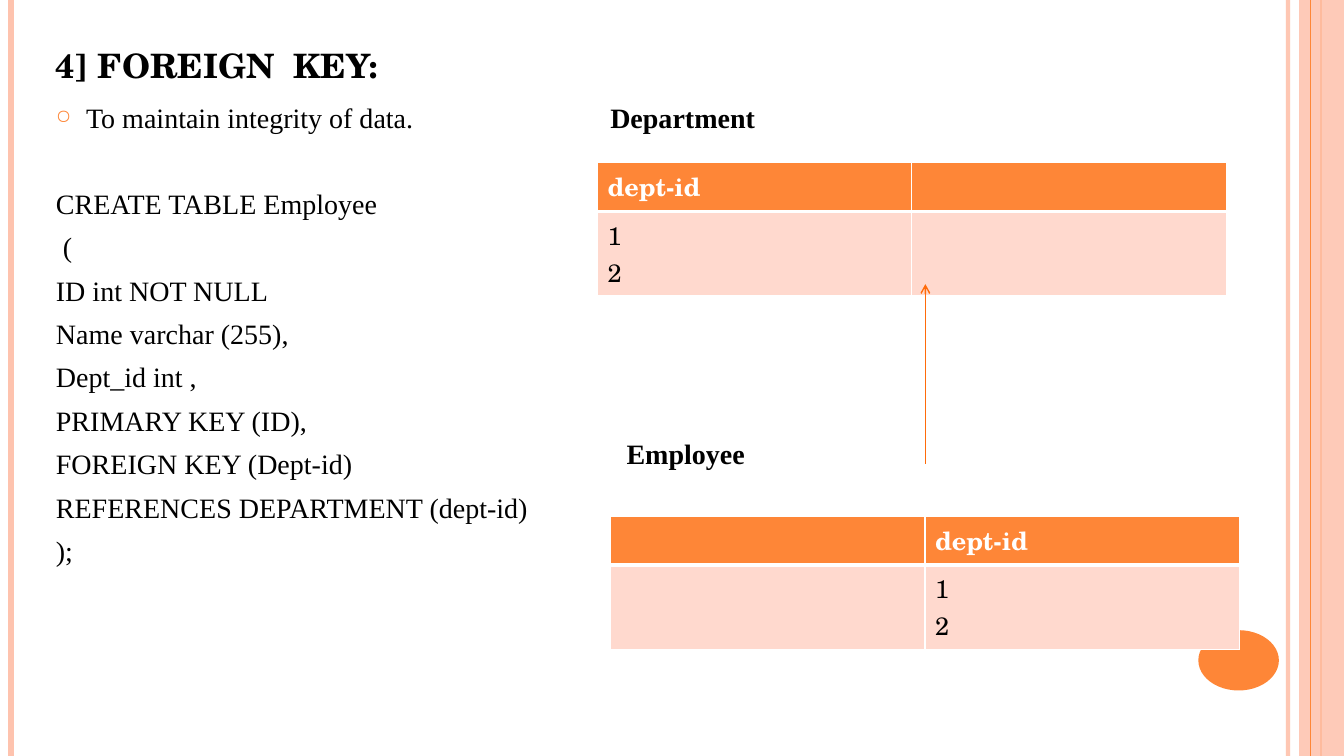
from lxml import etree
from pptx import Presentation
from pptx import util as u
from pptx.dml.color import RGBColor
from pptx.enum import shapes, text
from pptx.oxml.ns import qn

ORANGE, PEACH, PINK = "FE8637", "FEC3AE", "FFD9CE"
BLACK, WHITE = "000000", "FFFFFF"
HEADING_FONT, BODY_FONT = "TeX Gyre Schola", "Times New Roman"
SLIDE_W, SLIDE_H = 33.87, 19.05

SQL_LINES = [
    "CREATE TABLE Employee",
    " (",
    "ID int NOT NULL",
    "Name varchar (255),",
    "Dept_id int ,",
    "PRIMARY KEY (ID),",
    "FOREIGN KEY (Dept-id)",
    "REFERENCES DEPARTMENT (dept-id)",
    ");",
]


def rgb(value):
    return RGBColor.from_string(value)


def element(parent, tag, **attributes):
    return etree.SubElement(parent, qn(tag), attributes)


def set_alpha(fill, percent):
    color = next(fill.iter(qn("a:srgbClr")))
    element(color, "a:alpha", val=str(percent * 1000))


def add_line(slide, start, end, color, width, alpha=None, arrow=False):
    line = slide.shapes.add_connector(
        shapes.MSO_CONNECTOR.STRAIGHT, *(u.Cm(v) for v in start + end))
    line.line.color.rgb = rgb(color)
    line.line.width = u.Pt(width)
    properties = line._element.spPr
    outline = properties.find(qn("a:ln"))
    if alpha:
        set_alpha(outline, alpha)
    if arrow:
        element(outline, "a:tailEnd", type="arrow")
    element(properties, "a:effectLst")


def add_block(slide, kind, left, top, width, height, color, alpha=None):
    block = slide.shapes.add_shape(
        kind, u.Cm(left), u.Cm(top), u.Cm(width), u.Cm(height))
    block.shadow.inherit = False
    block.fill.solid()
    block.fill.fore_color.rgb = rgb(color)
    block.line.fill.background()
    if alpha:
        set_alpha(block._element.spPr.find(qn("a:solidFill")), alpha)


def add_run(paragraph, words, font, size, color=BLACK, bold=False):
    run = paragraph.add_run()
    run.text = words
    run.font.name = font
    run.font.size = u.Pt(size)
    run.font.color.rgb = rgb(color)
    run.font.bold = bold


def prepare_frame(frame):
    frame.word_wrap = True
    frame.auto_size = text.MSO_AUTO_SIZE.NONE
    frame.vertical_anchor = text.MSO_ANCHOR.TOP
    frame.margin_left = frame.margin_right = 0
    frame.margin_top = frame.margin_bottom = 0


def add_text(slide, left, top, width, height):
    box = slide.shapes.add_textbox(
        u.Cm(left), u.Cm(top), u.Cm(width), u.Cm(height))
    prepare_frame(box.text_frame)
    return box.text_frame


def add_label(slide, words, left, top):
    frame = add_text(slide, left, top, 6, 0.9)
    add_run(frame.paragraphs[0], words, BODY_FONT, 20, bold=True)


def set_title(slide, words):
    title = slide.shapes.title
    title.left, title.top = u.Cm(1.41), u.Cm(1.13)
    title.width, title.height = u.Cm(29), u.Cm(1.3)
    prepare_frame(title.text_frame)
    paragraph = title.text_frame.paragraphs[0]
    paragraph.alignment = text.PP_ALIGN.LEFT
    add_run(paragraph, words, HEADING_FONT, 24)
    paragraph.runs[0].font.bold = True


def set_bullet(paragraph):
    properties = paragraph._p.get_or_add_pPr()
    properties.set("marL", str(u.Cm(0.76)))
    properties.set("indent", str(-u.Cm(0.76)))
    element(element(properties, "a:buClr"), "a:srgbClr", val=ORANGE)
    element(properties, "a:buSzPct", val="70000")
    element(properties, "a:buChar", char="○")


def add_statement(slide):
    frame = add_text(slide, 1.41, 2.54, 13.2, 12)
    purpose = frame.paragraphs[0]
    set_bullet(purpose)
    add_run(purpose, "To maintain integrity of data.", BODY_FONT, 20)
    for index, sql in enumerate(SQL_LINES):
        paragraph = frame.add_paragraph()
        paragraph.space_before = u.Pt(7 if index else 37)
        add_run(paragraph, sql, BODY_FONT, 20)


def set_borders(cell, bottom, top):
    properties = cell._tc.get_or_add_tcPr()
    widths = {"a:lnL": 1, "a:lnR": 1, "a:lnT": top, "a:lnB": bottom}
    for position, (tag, width) in enumerate(widths.items()):
        border = etree.Element(qn(tag), w=str(u.Pt(width)))
        element(element(border, "a:solidFill"), "a:srgbClr", val=WHITE)
        properties.insert(position, border)


def add_key_table(slide, left, top, key_column):
    heights = [1.2, 2.13]
    table = slide.shapes.add_table(
        2, 2, u.Cm(left), u.Cm(top), u.Cm(15.84), u.Cm(sum(heights))).table
    for column in table.columns:
        column.width = u.Cm(7.92)
    rows = [(["dept-id"], ORANGE, WHITE, True), (["1", "2"], PINK, BLACK, False)]
    for r, (values, fill, color, header) in enumerate(rows):
        table.rows[r].height = u.Cm(heights[r])
        for c in range(2):
            cell = table.cell(r, c)
            cell.fill.solid()
            cell.fill.fore_color.rgb = rgb(fill)
            set_borders(cell, bottom=3 if header else 1, top=1 if header else 3)
        frame = table.cell(r, key_column).text_frame
        for i, value in enumerate(values):
            paragraph = frame.add_paragraph() if i else frame.paragraphs[0]
            add_run(paragraph, value, HEADING_FONT, 18, color, header)


def add_decoration(slide):
    def stripe(x, color, width, alpha=None):
        add_line(slide, (x, 0), (x, SLIDE_H), color, width, alpha)

    stripe(32.46, PEACH, 3, 93)
    stripe(0.28, PEACH, 4.5)
    stripe(33.3, ORANGE, 1.5)
    add_block(slide, shapes.MSO_SHAPE.RECTANGLE,
              32.74, 0, 1.13, SLIDE_H, PEACH, 87)
    stripe(33.27 - 0.25, ORANGE, 0.75)
    add_block(slide, shapes.MSO_SHAPE.OVAL, 30.2, 15.88, 2.03, 1.52, ORANGE)


def main():
    deck = Presentation()
    deck.slide_width, deck.slide_height = u.Cm(SLIDE_W), u.Cm(SLIDE_H)
    slide = deck.slides.add_slide(deck.slide_layouts[5])

    # Side stripes and corner disc
    add_decoration(slide)

    # Title and SQL statement
    set_title(slide, "4] FOREIGN  KEY:")
    add_statement(slide)

    # Linked tables with their names
    add_label(slide, "Department", 15.38, 2.54)
    add_key_table(slide, 15.06, 4.09, key_column=0)
    add_label(slide, "Employee", 15.79, 11.01)
    add_key_table(slide, 15.39, 13, key_column=1)

    # Reference from Employee to Department
    add_line(slide, (23.32, 11.68), (23.32, 7.16), "FF6B0A", 1, arrow=True)

    deck.save("out.pptx")


if __name__ == "__main__":
    main()
